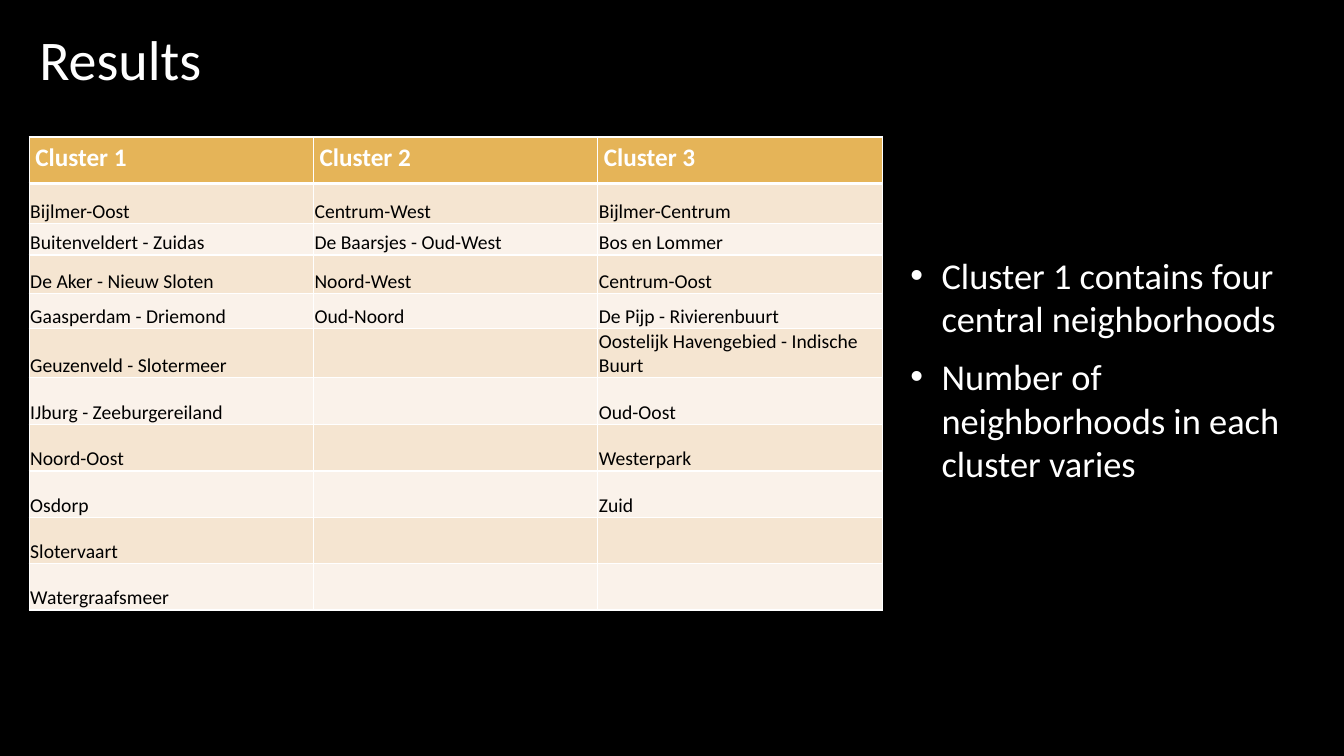
"""Build the Results slide: a table of neighborhood clusters beside two findings."""
from lxml import etree
from pptx import Presentation
from pptx.dml.color import RGBColor
from pptx.enum.text import MSO_ANCHOR, PP_ALIGN
from pptx.oxml.ns import qn
from pptx.util import Pt

PX = 9144
FONT = "Calibri"
LEFT, TOP, MIDDLE, BOTTOM = PP_ALIGN.LEFT, MSO_ANCHOR.TOP, MSO_ANCHOR.MIDDLE, MSO_ANCHOR.BOTTOM
BLACK = RGBColor(0x00, 0x00, 0x00)
WHITE = RGBColor(0xFF, 0xFF, 0xFF)
GOLD = RGBColor(0xE5, 0xB4, 0x58)
SAND = RGBColor(0xF5, 0xE5, 0xD1)
CREAM = RGBColor(0xFA, 0xF2, 0xEA)

CLUSTERS = {
    "Cluster 1": ["Bijlmer-Oost", "Buitenveldert - Zuidas", "De Aker - Nieuw Sloten",
                  "Gaasperdam - Driemond", "Geuzenveld - Slotermeer",
                  "IJburg - Zeeburgereiland", "Noord-Oost", "Osdorp", "Slotervaart",
                  "Watergraafsmeer"],
    "Cluster 2": ["Centrum-West", "De Baarsjes - Oud-West", "Noord-West", "Oud-Noord"],
    "Cluster 3": ["Bijlmer-Centrum", "Bos en Lommer", "Centrum-Oost",
                  "De Pijp - Rivierenbuurt", "Oostelijk Havengebied - Indische Buurt",
                  "Oud-Oost", "Westerpark", "Zuid"],
}
ROW_HEIGHTS = [46, 40, 31, 38, 35, 48, 47, 46, 46, 46, 46]
COLUMN_WIDTH = 282
FINDINGS = ["Cluster 1 contains four central neighborhoods",
            "Number of neighborhoods in each cluster varies"]


def format_text(paragraph, size, color, bold=False):
    paragraph.alignment = LEFT
    for span in paragraph.runs:
        span.font.name = FONT
        span.font.size = Pt(size)
        span.font.bold = bold
        span.font.color.rgb = color


def add_border(cell, side, width):
    line = etree.SubElement(cell._tc.get_or_add_tcPr(), qn(f"a:ln{side}"), w=str(Pt(width)))
    fill = etree.SubElement(line, qn("a:solidFill"))
    etree.SubElement(fill, qn("a:srgbClr"), val=str(WHITE))


deck = Presentation()
deck.slide_width, deck.slide_height = 1333 * PX, 750 * PX
page = deck.slides.add_slide(deck.slide_layouts[5])
page.background.fill.solid()
page.background.fill.fore_color.rgb = BLACK

title = page.shapes.title
title.left, title.top, title.width, title.height = 29 * PX, 3 * PX, 1084 * PX, 110 * PX
title.text_frame.text = "Results"
title.text_frame.vertical_anchor = MIDDLE
format_text(title.text_frame.paragraphs[0], 40, WHITE)

table = page.shapes.add_table(
    len(ROW_HEIGHTS), len(CLUSTERS), 29 * PX, 136 * PX,
    COLUMN_WIDTH * len(CLUSTERS) * PX, sum(ROW_HEIGHTS) * PX).table
for row, height in zip(table.rows, ROW_HEIGHTS):
    row.height = height * PX
for column_index, (heading, names) in enumerate(CLUSTERS.items()):
    table.columns[column_index].width = COLUMN_WIDTH * PX
    entries = [heading] + names
    for row_index in range(len(ROW_HEIGHTS)):
        cell = table.cell(row_index, column_index)
        is_header = row_index == 0
        if row_index < len(entries):
            cell.text = entries[row_index]
        cell.vertical_anchor = TOP if is_header else BOTTOM
        cell.margin_left = cell.margin_right = (6 if is_header else 1) * PX
        cell.margin_top = (5 if is_header else 1) * PX
        cell.margin_bottom = (5 if is_header else 0) * PX
        format_text(cell.text_frame.paragraphs[0], 18 if is_header else 14,
                    WHITE if is_header else BLACK, is_header)
        add_border(cell, "L", 1)
        add_border(cell, "R", 1)
        add_border(cell, "T", 3 if row_index == 1 else 1)
        add_border(cell, "B", 3 if is_header else 1)
        cell.fill.solid()
        cell.fill.fore_color.rgb = GOLD if is_header else (CREAM, SAND)[row_index % 2]

box = page.shapes.add_textbox(893 * PX, 246 * PX, 439 * PX, 368 * PX)
box.text_frame.word_wrap = True
box.text_frame.text = "\n".join(FINDINGS)
for para in box.text_frame.paragraphs:
    format_text(para, 26, WHITE)
    para.space_after = Pt(10)
    properties = para._p.get_or_add_pPr()
    properties.set("marL", str(31 * PX))
    properties.set("indent", str(-31 * PX))
    bullet_color = etree.SubElement(properties, qn("a:buClr"))
    etree.SubElement(bullet_color, qn("a:srgbClr"), val=str(WHITE))
    etree.SubElement(properties, qn("a:buFont"), typeface="Arial")
    etree.SubElement(properties, qn("a:buChar"), char="•")

deck.save("out.pptx")
